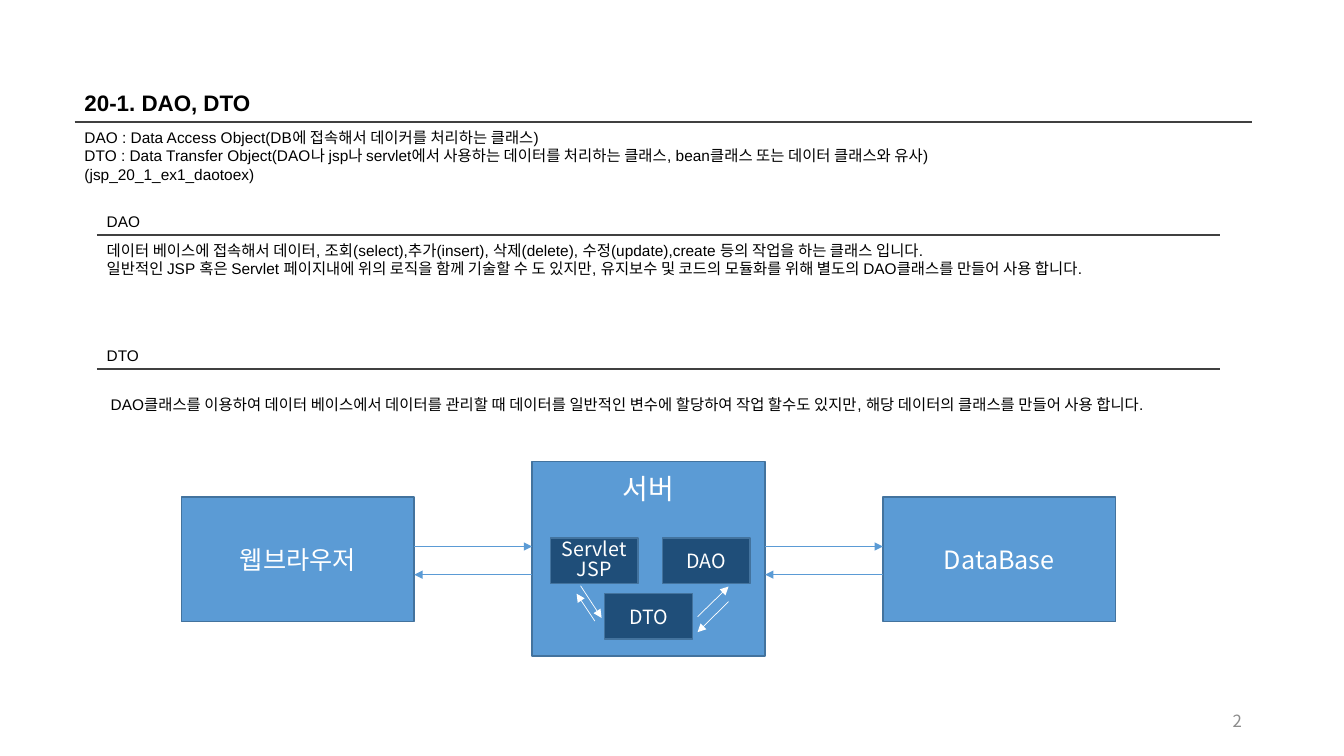
from dataclasses import dataclass

import lxml.etree
import pptx
import pptx.dml.color
import pptx.enum.shapes
import pptx.enum.text
import pptx.oxml.ns
import pptx.presentation
import pptx.shapes.base
import pptx.slide
import pptx.util

Align = pptx.enum.text.PP_ALIGN
Anchor = pptx.enum.text.MSO_ANCHOR


@dataclass(frozen=True)
class Theme:
    black: str = "000000"
    white: str = "FFFFFF"
    grey: str = "8C8C8C"
    rule: str = "404040"
    blue: str = "5B9BD5"
    navy: str = "1F4E79"
    border: str = "43739E"
    latin: str = "Arial"
    korean: str = "Noto Sans CJK KR"
    title_size: float = 16
    body_size: float = 11
    page_size: float = 12
    server_size: float = 20
    node_size: float = 18
    part_size: float = 14
    rule_width: float = 1
    arrow_width: float = 0.5


THEME = Theme()


@dataclass(frozen=True)
class Frame:
    left: float
    top: float
    width: float
    height: float


@dataclass(frozen=True)
class Style:
    size: float
    color: str
    font: str = THEME.latin
    bold: bool = False
    align: Align = Align.LEFT
    anchor: Anchor = Anchor.TOP
    spacing: float = 1.0


@dataclass(frozen=True)
class Label:
    frame: Frame
    lines: tuple[str, ...]
    style: Style


@dataclass(frozen=True)
class Box:
    frame: Frame
    fill: str
    lines: tuple[str, ...] = ()
    size: float = THEME.part_size
    spacing: float = 1.0


@dataclass(frozen=True)
class Line:
    start: tuple[float, float]
    end: tuple[float, float]
    color: str = THEME.rule
    width: float = THEME.rule_width
    arrow: bool = False


BODY = Style(THEME.body_size, THEME.black)
TITLE = Style(THEME.title_size, THEME.black, bold=True)
PAGE = Style(THEME.page_size, THEME.grey, THEME.korean, align=Align.RIGHT, anchor=Anchor.MIDDLE)
SERVER = Style(THEME.server_size, THEME.white, align=Align.CENTER)

MARGIN, CONTENT_WIDTH = 1.88, 29.67
SECTION_LEFT, SECTION_WIDTH = 2.44, 28.3
DAO_TOP, DTO_TOP = 5.21, 8.59
RULE_DROP = 0.71

LABELS = (
    Label(Frame(MARGIN, 2.11, CONTENT_WIDTH, 0.94), ("20-1. DAO, DTO",), TITLE),
    Label(Frame(23.93, 17.65, 7.62, 1.02), ("2",), PAGE),
    Label(Frame(MARGIN, 3.1, CONTENT_WIDTH, 1.68), (
        "DAO : Data Access Object(DB에 접속해서 데이커를 처리하는 클래스)",
        "DTO : Data Transfer Object(DAO나 jsp나 servlet에서 사용하는 데이터를 처리하는 클래스, bean클래스 또는 데이터 클래스와 유사)",
        "(jsp_20_1_ex1_daotoex)",
    ), BODY),
    Label(Frame(SECTION_LEFT, DAO_TOP, SECTION_WIDTH, 0.74), ("DAO",), BODY),
    Label(Frame(SECTION_LEFT, 5.94, SECTION_WIDTH, 1.19), (
        "데이터 베이스에 접속해서 데이터, 조회(select),추가(insert), 삭제(delete), 수정(update),create 등의 작업을 하는 클래스 입니다.",
        "일반적인 JSP 혹은 Servlet 페이지내에 위의 로직을 함께 기술할 수 도 있지만, 유지보수 및 코드의 모듈화를 위해 별도의 DAO클래스를 만들어 사용 합니다.",
    ), BODY),
    Label(Frame(SECTION_LEFT, DTO_TOP, SECTION_WIDTH, 0.74), ("DTO",), BODY),
    Label(Frame(2.54, 9.83, SECTION_WIDTH, 1.19), (
        "DAO클래스를 이용하여 데이터 베이스에서 데이터를 관리할 때 데이터를 일반적인 변수에 할당하여 작업 할수도 있지만, 해당 데이터의 클래스를 만들어 사용 합니다.",
    ), BODY),
)
SERVER_LABEL = Label(Frame(14.86, 11.76, 2.97, 1.12), ("서버",), SERVER)

NODE_WIDTH, NODE_GAP = 5.87, 2.97
BROWSER_LEFT, SERVER_LEFT, DATABASE_LEFT = (4.57 + i * (NODE_WIDTH + NODE_GAP) for i in range(3))
NODE_TOP, NODE_HEIGHT = 12.52, 3.15
PART_WIDTH, PART_HEIGHT = 2.21, 1.14

BOXES = (
    Box(Frame(SERVER_LEFT, 11.63, NODE_WIDTH, 4.9), THEME.blue),
    Box(Frame(BROWSER_LEFT, NODE_TOP, NODE_WIDTH, NODE_HEIGHT), THEME.blue, ("웹브라우저",), THEME.node_size),
    Box(Frame(DATABASE_LEFT, NODE_TOP, NODE_WIDTH, NODE_HEIGHT), THEME.blue, ("DataBase",), THEME.node_size),
    Box(Frame(16.69, 13.56, PART_WIDTH, PART_HEIGHT), THEME.navy, ("DAO",)),
    Box(Frame(15.24, 14.96, PART_WIDTH, PART_HEIGHT), THEME.navy, ("DTO",)),
    Box(Frame(13.87, 13.56, PART_WIDTH, PART_HEIGHT), THEME.navy, ("Servlet", "JSP"), spacing=0.85),
)

RULES = (
    Line((MARGIN, 3.07), (MARGIN + CONTENT_WIDTH, 3.07)),
    *(
        Line((SECTION_LEFT, top + RULE_DROP), (SECTION_LEFT + SECTION_WIDTH, top + RULE_DROP))
        for top in (DAO_TOP, DTO_TOP)
    ),
)


def arrow(start: tuple[float, float], end: tuple[float, float], color: str) -> Line:
    return Line(start, end, color, THEME.arrow_width, True)


REQUEST_Y, RESPONSE_Y = 13.77, 14.48
ARROWS = (
    *(arrow((x - NODE_GAP, REQUEST_Y), (x, REQUEST_Y), THEME.blue) for x in (SERVER_LEFT, DATABASE_LEFT)),
    *(arrow((x, RESPONSE_Y), (x - NODE_GAP, RESPONSE_Y), THEME.blue) for x in (SERVER_LEFT, DATABASE_LEFT)),
    arrow((14.63, 14.76), (15.16, 15.57), THEME.white),
    arrow((17.58, 15.54), (18.36, 14.78), THEME.white),
    arrow((14.99, 15.65), (14.53, 14.96), THEME.white),
    arrow((18.36, 15.16), (17.58, 15.93), THEME.white),
)


def rgb(color: str) -> pptx.dml.color.RGBColor:
    return pptx.dml.color.RGBColor.from_string(color)


def lengths(frame: Frame) -> tuple[pptx.util.Length, ...]:
    return tuple(pptx.util.Cm(value) for value in (frame.left, frame.top, frame.width, frame.height))


def write_text(shape: pptx.shapes.base.BaseShape, lines: tuple[str, ...], style: Style) -> None:
    text_frame = shape.text_frame
    text_frame.word_wrap = True
    text_frame.vertical_anchor = style.anchor
    for index, line in enumerate(lines):
        paragraph = text_frame.add_paragraph() if index else text_frame.paragraphs[0]
        paragraph.alignment = style.align
        paragraph.line_spacing = style.spacing
        run = paragraph.add_run()
        run.text = line
        run.font.size = pptx.util.Pt(style.size)
        run.font.bold = style.bold
        run.font.color.rgb = rgb(style.color)
        run.font.name = style.font
        east_asian = lxml.etree.SubElement(run.font._element, pptx.oxml.ns.qn("a:ea"))
        east_asian.set("typeface", THEME.korean)


def draw_label(slide: pptx.slide.Slide, label: Label) -> None:
    write_text(slide.shapes.add_textbox(*lengths(label.frame)), label.lines, label.style)


def draw_box(slide: pptx.slide.Slide, box: Box) -> None:
    shape = slide.shapes.add_shape(pptx.enum.shapes.MSO_SHAPE.RECTANGLE, *lengths(box.frame))
    shape.shadow.inherit = False
    shape.fill.solid()
    shape.fill.fore_color.rgb = rgb(box.fill)
    shape.line.color.rgb = rgb(THEME.border)
    shape.line.width = pptx.util.Pt(THEME.rule_width)
    style = Style(box.size, THEME.white, THEME.korean, False, Align.CENTER, Anchor.MIDDLE, box.spacing)
    write_text(shape, box.lines, style)


def draw_line(slide: pptx.slide.Slide, line: Line) -> None:
    points = (pptx.util.Cm(value) for value in (*line.start, *line.end))
    connector = slide.shapes.add_connector(pptx.enum.shapes.MSO_CONNECTOR.STRAIGHT, *points)
    connector.line.color.rgb = rgb(line.color)
    connector.line.width = pptx.util.Pt(line.width)
    if line.arrow:
        outline = connector.line._get_or_add_ln()
        lxml.etree.SubElement(outline, pptx.oxml.ns.qn("a:tailEnd")).set("type", "triangle")
    lxml.etree.SubElement(connector._element.spPr, pptx.oxml.ns.qn("a:effectLst"))


def main() -> None:
    presentation = pptx.Presentation()
    presentation.slide_width = pptx.util.Cm(33.87)
    presentation.slide_height = pptx.util.Cm(19.05)
    slide = presentation.slides.add_slide(presentation.slide_layouts[6])
    for rule in RULES:
        draw_line(slide, rule)
    for label in LABELS:
        draw_label(slide, label)
    for box in BOXES:
        draw_box(slide, box)
    draw_label(slide, SERVER_LABEL)
    for line in ARROWS:
        draw_line(slide, line)
    presentation.save("out.pptx")


if __name__ == "__main__":
    main()
